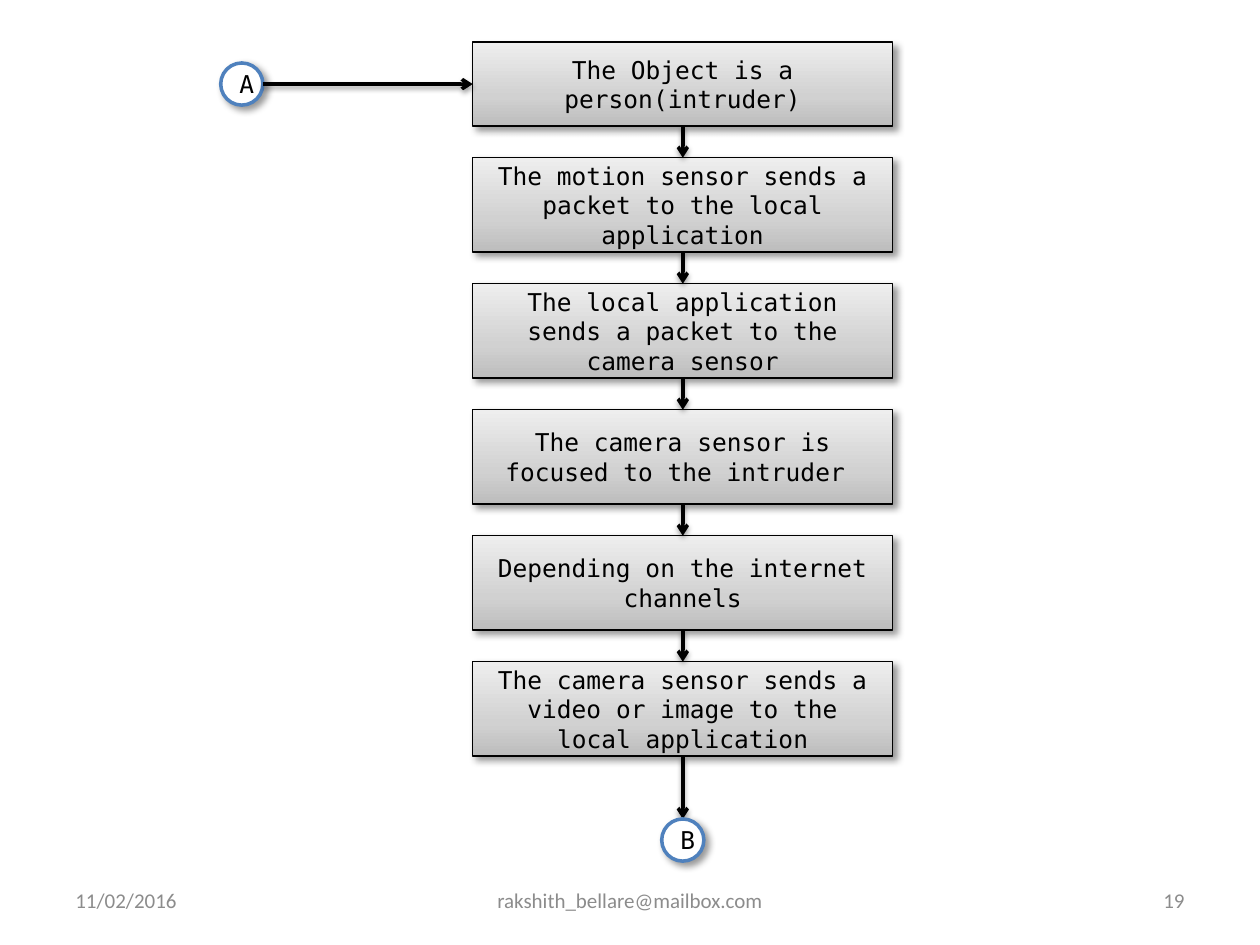
"""Build a flow chart slide of intruder detection steps between connectors A and B."""
from dataclasses import dataclass

from lxml.etree import SubElement
from pptx import Presentation
from pptx.dml.color import RGBColor
from pptx.enum.shapes import MSO_CONNECTOR as Link, MSO_SHAPE as Form
from pptx.enum.text import MSO_ANCHOR as Anchor, PP_ALIGN as Align
from pptx.oxml.ns import qn
from pptx.util import Cm, Pt

MONO = {"name": "DejaVu Sans Mono", "size": Pt(14)}
SMALL = {"name": "Calibri", "size": Pt(12)}
BLACK, WHITE, BLUE, GREY = "000000", "FFFFFF", "4F81BD", "8C8C8C"
STEEL = ((0, "BDBDBD"), (35, "D1D1D1"), (100, "EEEEEE"))
LEFT, WIDTH, TOP, HEIGHT, PITCH, RING = 9.53, 8.47, 3.18, 1.9, 2.54, 0.85
STEPS = (
    "The motion sensor sends a packet to the local application",
    "The local application sends a packet to the camera sensor",
    "The camera sensor is focused to the intruder ",
    "Depending on the internet channels",
    "The camera sensor sends a video or image to the local application",
)


@dataclass
class Shadow:
    alpha: int
    blur: float
    distance: float
    angle: int


@dataclass
class Node:
    text: str
    left: float
    top: float
    width: float = WIDTH
    height: float = HEIGHT
    ring: bool = False

    @property
    def centre(self) -> float:
        return self.left + self.width / 2

    @property
    def middle(self) -> float:
        return self.top + self.height / 2

    @property
    def right(self) -> float:
        return self.left + self.width

    @property
    def bottom(self) -> float:
        return self.top + self.height


@dataclass
class Footer:
    text: str
    left: float
    width: float
    align: Align


NODE_SHADOW = Shadow(40, 4, 3, 45)
ARROW_SHADOW = Shadow(38, 3.1, 1.6, 90)
FOOTERS = (
    Footer("11/02/2016", 1.27, 5.93, Align.LEFT),
    Footer("rakshith_bellare@mailbox.com", 8.68, 8.04, Align.CENTER),
    Footer("19", 18.2, 5.93, Align.RIGHT),
)


def colour(value: str) -> RGBColor:
    return RGBColor.from_string(value)


def write(box, text: str, align: Align, font: dict, ink: str) -> None:
    frame = box.text_frame
    frame.word_wrap = True
    frame.vertical_anchor = Anchor.MIDDLE
    para = frame.paragraphs[0]
    para.alignment = align
    span = para.add_run()
    span.text = text
    for name, value in font.items():
        setattr(span.font, name, value)
    span.font.color.rgb = colour(ink)


def add_colour(parent, value: str):
    return SubElement(parent, qn("a:srgbClr"), val=value)


def cast(effects, shadow: Shadow) -> None:
    outer = SubElement(
        effects, qn("a:outerShdw"), blurRad=str(Pt(shadow.blur)),
        dist=str(Pt(shadow.distance)), dir=str(shadow.angle * 60000), rotWithShape="0",
    )
    SubElement(add_colour(outer, BLACK), qn("a:alpha"), val=str(shadow.alpha * 1000))


def shade(box, stops: tuple) -> None:
    box.fill.gradient()
    box.fill.gradient_angle = 90
    stop_list = box._element.spPr.find(".//" + qn("a:gsLst"))
    for stop in list(stop_list):
        stop_list.remove(stop)
    for place, value in stops:
        add_colour(SubElement(stop_list, qn("a:gs"), pos=str(place * 1000)), value)


def draw_node(page, node: Node) -> None:
    form = Form.OVAL if node.ring else Form.RECTANGLE
    box = page.shapes.add_shape(
        form, Cm(node.left), Cm(node.top), Cm(node.width), Cm(node.height))
    if node.ring:
        box.fill.solid()
        box.fill.fore_color.rgb = colour(WHITE)
    else:
        shade(box, STEEL)
    box.line.color.rgb = colour(BLUE if node.ring else BLACK)
    box.line.width = Pt(2 if node.ring else 0.75)
    box.shadow.inherit = False
    cast(box._element.spPr.find(qn("a:effectLst")), NODE_SHADOW)
    write(box, node.text, Align.CENTER, MONO, BLACK)


def draw_arrow(page, start: tuple[float, float], end: tuple[float, float]) -> None:
    arrow = page.shapes.add_connector(Link.STRAIGHT, *(Cm(n) for n in start + end))
    arrow.line.color.rgb = colour(BLACK)
    arrow.line.width = Pt(2)
    properties = arrow._element.spPr
    SubElement(properties.find(qn("a:ln")), qn("a:tailEnd"), type="arrow")
    cast(SubElement(properties, qn("a:effectLst")), ARROW_SHADOW)


def draw_footer(page, footer: Footer) -> None:
    box = page.shapes.add_textbox(
        Cm(footer.left), Cm(17.65), Cm(footer.width), Cm(1.01))
    write(box, footer.text, footer.align, SMALL, GREY)


def main() -> None:
    deck = Presentation()
    deck.slide_width, deck.slide_height = Cm(25.4), Cm(19.05)
    page = deck.slides.add_slide(deck.slide_layouts[6])
    for footer in FOOTERS:
        draw_footer(page, footer)

    entry = Node("A", 4.45, 1.27, RING, RING, ring=True)
    first = Node("The Object is a person(intruder)", LEFT, 0.85, height=1.69)
    steps = [Node(text, LEFT, TOP + row * PITCH) for row, text in enumerate(STEPS)]
    leave = Node("B", first.centre - RING / 2, 16.51, RING, RING, ring=True)
    column = [first, *steps, leave]

    for node in (entry, first, *steps):
        draw_node(page, node)
    draw_arrow(page, (entry.right, entry.middle), (first.left, first.middle))
    for upper, lower in zip(column, column[1:]):
        draw_arrow(page, (upper.centre, upper.bottom), (lower.centre, lower.top))
    draw_node(page, leave)
    deck.save("out.pptx")


if __name__ == "__main__":
    main()
